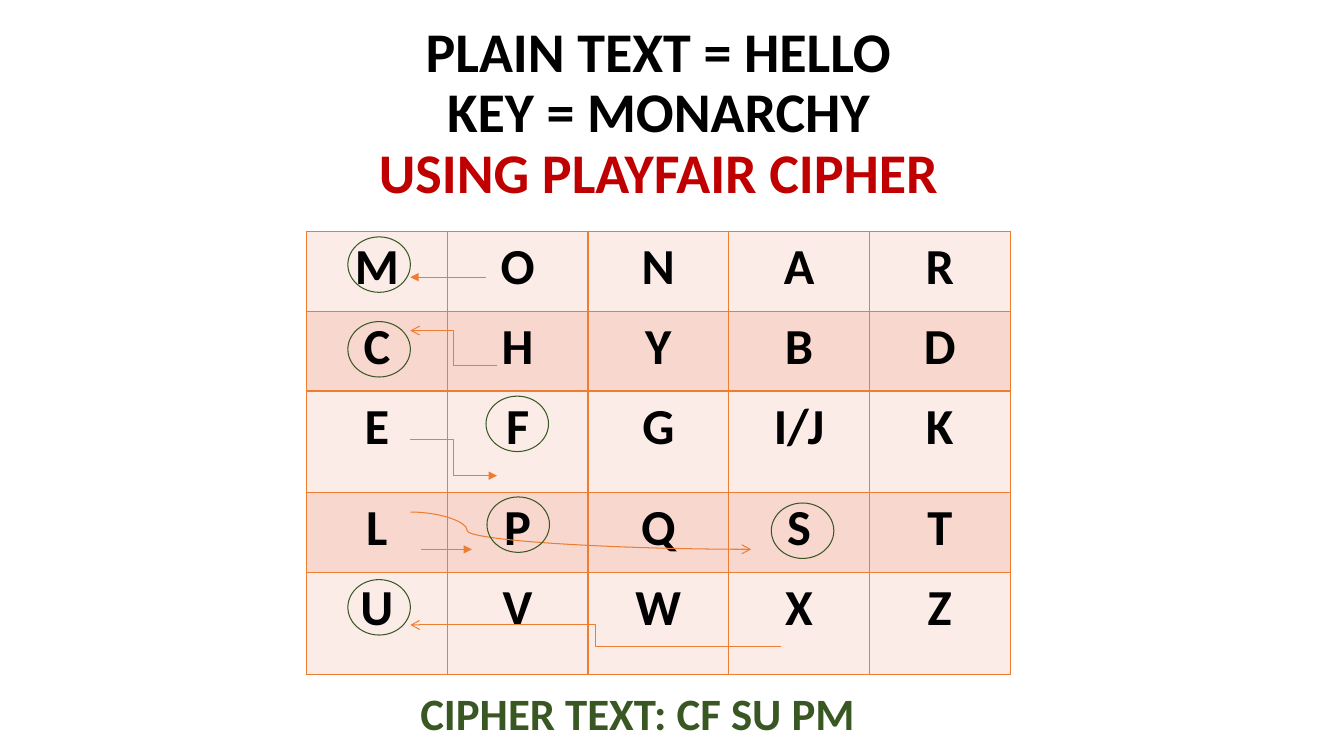
from lxml import etree
from pptx import Presentation
from pptx.dml.color import RGBColor
from pptx.enum.shapes import MSO_CONNECTOR, MSO_SHAPE
from pptx.enum.text import MSO_ANCHOR, MSO_AUTO_SIZE, PP_ALIGN
from pptx.oxml.ns import qn
from pptx.util import Inches, Pt

STRAIGHT, ELBOW, CURVE = MSO_CONNECTOR.STRAIGHT, MSO_CONNECTOR.ELBOW, MSO_CONNECTOR.CURVE
OVAL = MSO_SHAPE.OVAL
CENTER, LEFT = PP_ALIGN.CENTER, PP_ALIGN.LEFT
BOTTOM = MSO_ANCHOR.BOTTOM
NO_FIT = MSO_AUTO_SIZE.NONE

COLORS = {
    "text": "000000",
    "heading": "C00000",
    "green": "385723",
    "orange": "ED7D31",
    "light row": "FCECE8",
    "dark row": "F8D7CE",
}

KEY_SQUARE = [
    ["M", "O", "N", "A", "R"],
    ["C", "H", "Y", "B", "D"],
    ["E", "F", "G", "I/J", "K"],
    ["L", "P", "Q", "S", "T"],
    ["U", "V", "W", "X", "Z"],
]
ROW_HEIGHTS = [0.79, 0.79, 1.01, 0.79, 1.01]
COLUMN_WIDTH = 1.396

# Left and top of the ring around each cipher letter: M, C, F, P, S, U
RINGS = [(3.45, 2.35), (3.45, 3.19), (4.82, 3.93), (4.83, 4.93), (7.65, 4.99), (3.45, 5.75)]

# Kind, start, end, line width, arrowhead, bend position (None = middle)
ARROWS = [
    (ELBOW, (4.93, 3.63), (4.07, 3.28), 0.75, "arrow", None),
    (ELBOW, (4.07, 4.36), (4.93, 4.72), 0.5, "triangle", None),
    (CURVE, (4.07, 5.08), (7.45, 5.45), 0.75, "arrow", 0.167),
    (ELBOW, (7.75, 6.41), (4.07, 6.2), 0.75, "arrow", None),
    (STRAIGHT, (4.18, 5.45), (4.68, 5.45), 1, "triangle", None),
    (STRAIGHT, (4.82, 2.75), (4.07, 2.75), 0.5, "triangle", None),
]


def color(name):
    return RGBColor.from_string(COLORS[name])


def format_paragraph(para, size, color_name, align):
    para.alignment = align
    para.font.name = "Calibri"
    para.font.size = Pt(size)
    para.font.bold = True
    para.font.color.rgb = color(color_name)


def set_title(page):
    title = page.shapes.title
    title.left, title.top = Inches(1.53), Inches(0.13)
    title.width, title.height = Inches(10), Inches(1.96)
    frame = title.text_frame
    frame.auto_size = NO_FIT
    frame.vertical_anchor = BOTTOM
    para = frame.paragraphs[0]
    format_paragraph(para, 40, "text", CENTER)
    para.line_spacing = 0.9
    for line in ("PLAIN TEXT = HELLO", "KEY = MONARCHY"):
        para.add_run().text = line
        para.add_line_break()
    span = para.add_run()
    span.text = "USING PLAYFAIR CIPHER"
    span.font.color.rgb = color("heading")


def set_borders(cell):
    properties = cell._tc.get_or_add_tcPr()
    for index, side in enumerate(("a:lnL", "a:lnR", "a:lnT", "a:lnB")):
        line = etree.Element(qn(side), w=str(Pt(1)))
        fill = etree.SubElement(line, qn("a:solidFill"))
        etree.SubElement(fill, qn("a:srgbClr"), val=COLORS["orange"])
        properties.insert(index, line)


def add_key_square(page):
    size = len(KEY_SQUARE)
    table = page.shapes.add_table(
        size, size, Inches(3.04), Inches(2.3),
        Inches(COLUMN_WIDTH * size), Inches(sum(ROW_HEIGHTS)),
    ).table
    for column in table.columns:
        column.width = Inches(COLUMN_WIDTH)
    for row_index, letters in enumerate(KEY_SQUARE):
        table.rows[row_index].height = Inches(ROW_HEIGHTS[row_index])
        for column_index, letter in enumerate(letters):
            cell = table.cell(row_index, column_index)
            cell.text = letter
            format_paragraph(cell.text_frame.paragraphs[0], 36, "text", CENTER)
            cell.fill.solid()
            cell.fill.fore_color.rgb = color("dark row" if row_index % 2 else "light row")
            set_borders(cell)


def add_cipher_text(page):
    box = page.shapes.add_textbox(Inches(4.07), Inches(6.75), Inches(6.76), Inches(0.64))
    box.text_frame.word_wrap = True
    para = box.text_frame.paragraphs[0]
    para.text = "CIPHER TEXT: CF SU PM"
    format_paragraph(para, 32, "green", LEFT)


def add_arrow(page, kind, start, end, width, head, bend):
    arrow = page.shapes.add_connector(kind, *map(Inches, start + end))
    arrow.line.color.rgb = color("orange")
    arrow.line.width = Pt(width)
    etree.SubElement(arrow.line._get_or_add_ln(), qn("a:tailEnd"), type=head)
    properties = arrow._element.spPr
    etree.SubElement(properties, qn("a:effectLst"))
    if bend is not None:
        guides = properties.find(qn("a:prstGeom")).find(qn("a:avLst"))
        etree.SubElement(guides, qn("a:gd"), name="adj1", fmla=f"val {round(bend * 100000)}")


def add_ring(page, left, top):
    ring = page.shapes.add_shape(OVAL, Inches(left), Inches(top), Inches(0.62), Inches(0.55))
    ring.shadow.inherit = False
    ring.fill.background()
    ring.line.color.rgb = color("green")
    ring.line.width = Pt(0.75)


def main():
    deck = Presentation()
    deck.slide_width, deck.slide_height = Inches(13.33), Inches(7.5)
    page = deck.slides.add_slide(deck.slide_layouts[0])

    # Title; the subtitle is not needed
    set_title(page)
    subtitle = page.placeholders[1]._element
    subtitle.getparent().remove(subtitle)

    # Key square and result
    add_key_square(page)
    add_cipher_text(page)

    # Letter substitutions
    for arrow in ARROWS:
        add_arrow(page, *arrow)
    for left, top in RINGS:
        add_ring(page, left, top)

    deck.save("out.pptx")


if __name__ == "__main__":
    main()
